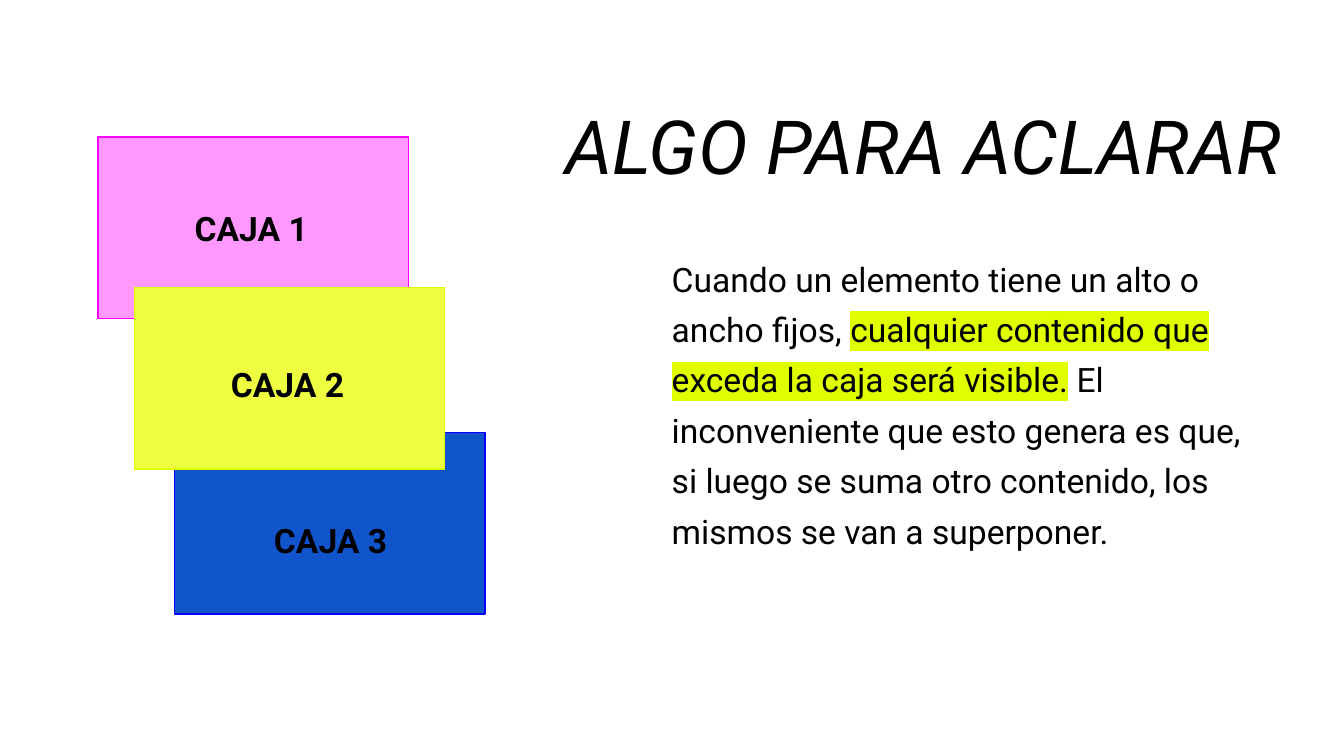
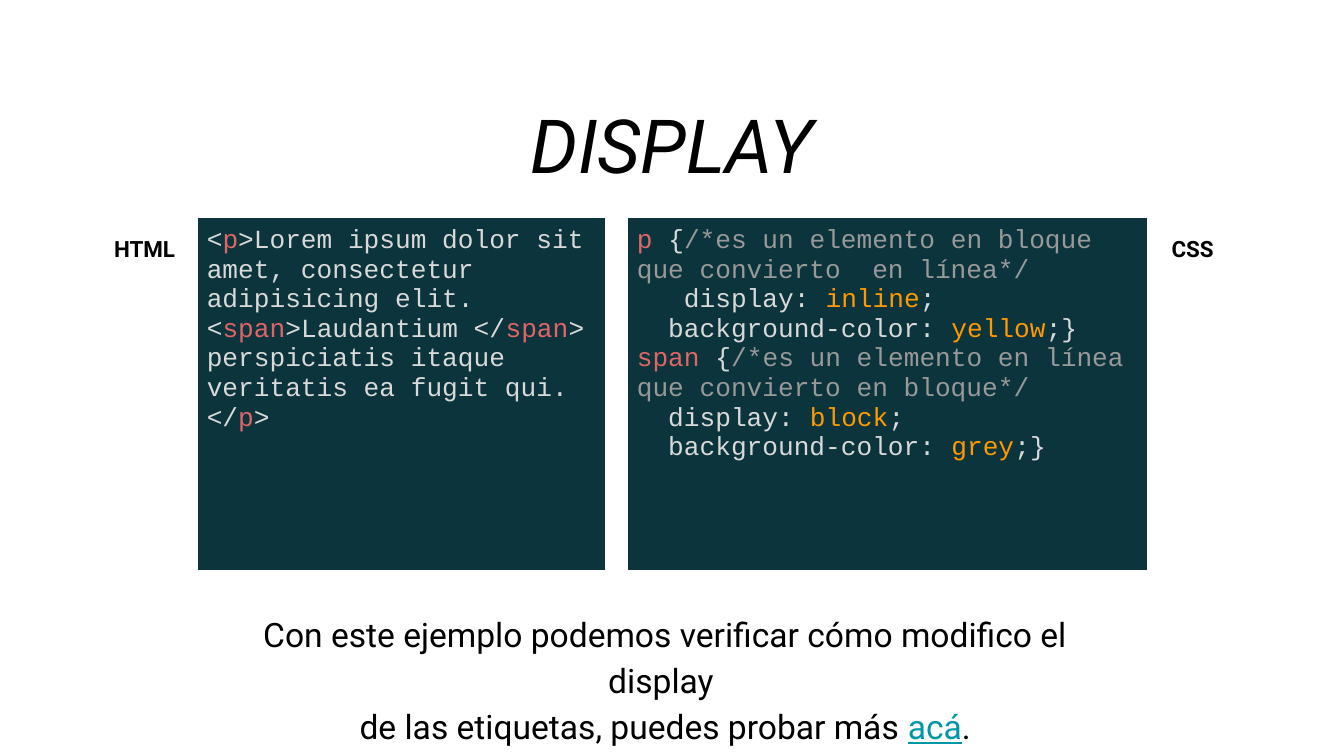
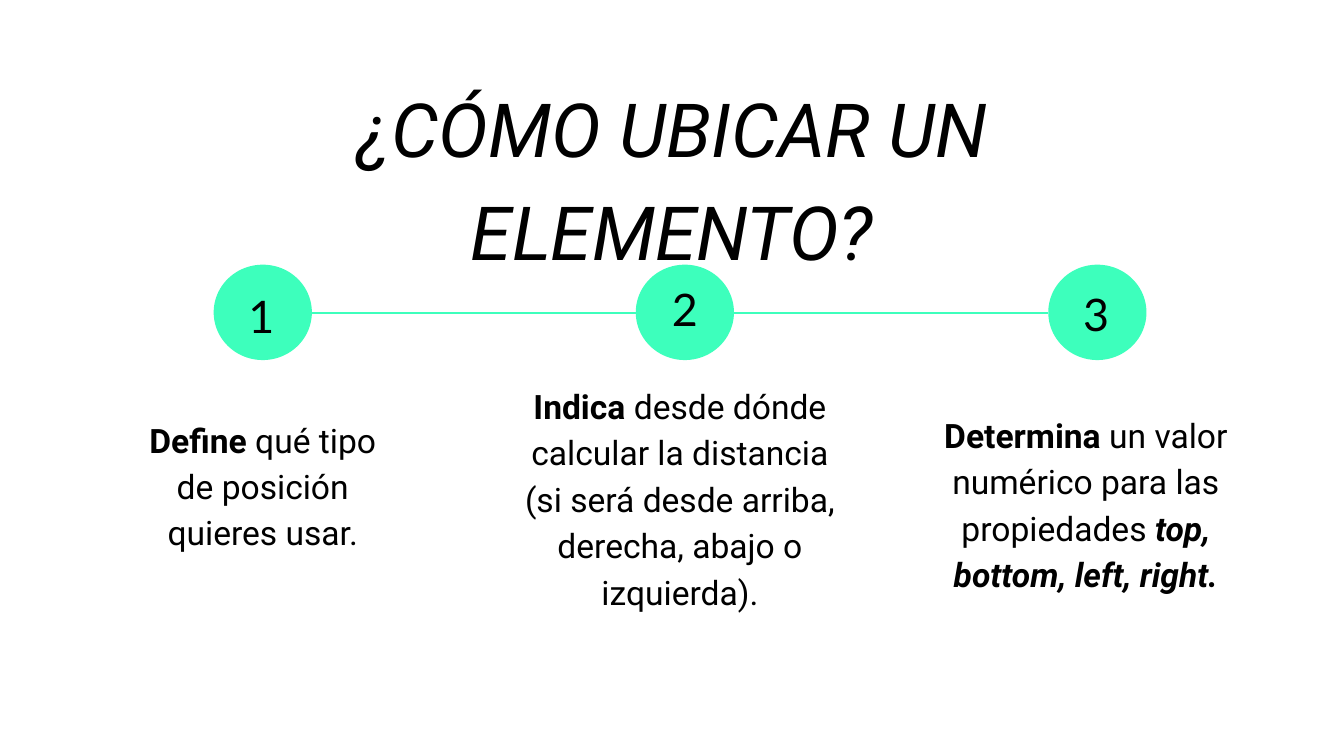
from lxml import etree
from pptx import Presentation
from pptx.dml.color import RGBColor
from pptx.enum import shapes, text
from pptx.oxml import ns
from pptx.util import Pt

BLACK, MINT, LIME = "000000", "3DFFBC", "E0FF00"
CODE_BACK, CODE_PLAIN = "0C343D", "D9D9D9"
CENTER, MIDDLE = text.PP_ALIGN.CENTER, text.MSO_ANCHOR.MIDDLE


def rgb(value):
    return RGBColor.from_string(value)


def child(parent, tag, **attributes):
    return etree.SubElement(parent, ns.qn(tag), attributes)


def bold(words, **more):
    return words, dict(bold=True, **more)


def tag(words):
    return words, dict(color="E06666")


def value(words):
    return words, dict(color="FF9900")


def remark(words):
    return words, dict(color="999999")


class Deck:
    """Holds the shared style and the slide being filled."""

    def __init__(self):
        self.show = Presentation()
        self.show.slide_width, self.show.slide_height = Pt(720), Pt(405)

    def new_slide(self):
        self.slide = self.show.slides.add_slide(self.show.slide_layouts[6])

    def fill_paragraph(self, paragraph, runs, size, font="Roboto", color=BLACK,
                       strong=None, slanted=None, spacing=None, align=None):
        style = paragraph.font
        style.name, style.size, style.bold, style.italic = font, Pt(size), strong, slanted
        style.color.rgb = rgb(color)
        paragraph.alignment, paragraph.line_spacing = align, spacing
        for item in runs:
            words, options = (item, {}) if isinstance(item, str) else item
            for number, line in enumerate(words.split("\n")):
                if number:
                    paragraph.add_line_break()
                self.add_words(paragraph, line, **options)

    def add_words(self, paragraph, words, color=None, mark=None, **flags):
        run = paragraph.add_run()
        run.text = words
        for flag, state in flags.items():
            setattr(run.font, flag, state)
        if color:
            run.font.color.rgb = rgb(color)
        if mark:
            child(child(run._r.get_or_add_rPr(), "a:highlight"), "a:srgbClr", val=mark)

    def text(self, left, top, width, height, runs, size=18, anchor=None, bottom=7.2, **style):
        frame = self.slide.shapes.add_textbox(Pt(left), Pt(top), Pt(width), Pt(height)).text_frame
        frame.word_wrap, frame.vertical_anchor = True, anchor
        frame.margin_left = frame.margin_right = frame.margin_top = Pt(7.2)
        frame.margin_bottom = Pt(bottom)
        self.fill_paragraph(frame.paragraphs[0], runs, size, **style)

    def title(self, left, top, words, spacing=1.5):
        self.text(left, top, 491, 54.7, [words], 40, slanted=True, spacing=spacing, align=CENTER)

    def shape(self, kind, left, top, width, height, fill, line=None, alpha=None):
        shape = self.slide.shapes.add_shape(kind, Pt(left), Pt(top), Pt(width), Pt(height))
        shape.shadow.inherit = False
        shape.fill.solid()
        shape.fill.fore_color.rgb = rgb(fill)
        if alpha:
            tint = shape._element.spPr.find(ns.qn("a:solidFill"))[0]
            child(tint, "a:alpha", val=str(alpha * 1000))
        if line:
            shape.line.color.rgb, shape.line.width = rgb(line), Pt(0.75)
        else:
            shape.line.fill.background()

    def line(self, start, end, y, color):
        line = self.slide.shapes.add_connector(
            shapes.MSO_CONNECTOR.STRAIGHT, Pt(start), Pt(y), Pt(end), Pt(y))
        line.line.color.rgb, line.line.width = rgb(color), Pt(0.75)
        child(line._element.spPr, "a:effectLst")

    def code(self, left, top, width, height, lines):
        table = self.slide.shapes.add_table(
            1, 1, Pt(left), Pt(top), Pt(width), Pt(height)).table
        table.first_row = table.horz_banding = False
        cell = table.cell(0, 0)
        cell.fill.solid()
        cell.fill.fore_color.rgb = rgb(CODE_BACK)
        cell.margin_left = cell.margin_right = cell.margin_top = cell.margin_bottom = Pt(5)
        frame = cell.text_frame
        for number, runs in enumerate(lines):
            paragraph = frame.add_paragraph() if number else frame.paragraphs[0]
            self.fill_paragraph(paragraph, runs, 14, font="Courier New", color=CODE_PLAIN)


def overlap_slide(deck):
    deck.new_slide()
    deck.title(249.1, 22.3, "ALGO PARA ACLARAR")
    deck.text(352.8, 126, 329, 175.7, [
        "Cuando un elemento tiene un alto o ancho fijos, ",
        ("cualquier contenido que exceda la caja será visible.", dict(mark=LIME)),
        " El inconveniente que esto genera es que, si luego se suma otro contenido, "
        "los mismos se van a superponer."], spacing=1.25)
    for left, top, fill, edge, alpha in (
            (52.5, 73.4, "FF00FF", "FF00FF", 40),
            (93.6, 231.8, "1155CC", "0000FF", None),
            (72, 154.1, "EEFF41", LIME, None)):
        deck.shape(shapes.MSO_SHAPE.RECTANGLE, left, top, 166.3, 97.2, fill, edge, alpha)
    for name, left, top in (("CAJA 1", 97.2, 98.6), ("CAJA 3", 139.7, 265.7),
                            ("CAJA 2", 116.6, 182.2)):
        deck.text(left, top, 93.6, 46.8, [name], strong=True, spacing=1.25)


def display_slide(deck):
    deck.new_slide()
    deck.title(114.5, 21.6, "DISPLAY")
    deck.code(105.8, 116.6, 218.9, 189.4, [
        ["<", tag("p"), ">Lorem ipsum dolor sit amet, consectetur adipisicing elit. <",
         tag("span"), ">Laudantium </", tag("span"),
         "> perspiciatis itaque veritatis ea fugit qui."],
        ["</", tag("p"), ">"]])
    deck.code(336.2, 116.6, 278.6, 189.4, [
        [tag("p "), "{", remark("/*es un elemento en bloque que convierto  en línea*/")],
        ["   display: ", value("inline"), ";\n  background-color: ", value("yellow"), ";}"],
        [tag("span"), " {", remark("/*es un elemento en línea que convierto en bloque*/")],
        ["  display: ", value("block"), ";\n  background-color: ", value("grey"), ";}"]])
    for language, left, width in (("HTML", 54, 56.9), ("CSS", 620.6, 40.3)):
        deck.text(left, 116.6, width, 25.9, [language], 12, strong=True, spacing=1.15)
    deck.text(105.8, 318.2, 501.1, 66.2, [
        "Con este ejemplo podemos verificar cómo modifico el display \n"
        "de las etiquetas, puedes probar más ",
        ("acá", dict(color="0097A7", underline=True)), "."], spacing=1.15, align=CENTER)


def steps_slide(deck):
    deck.new_slide()
    deck.line(167, 561.6, 167.8, MINT)
    for left in (114.5, 340.6, 561.6):
        deck.shape(shapes.MSO_SHAPE.OVAL, left, 141.8, 52.6, 51.1, MINT)
    for left, top, width, height, bottom, runs in (
            (71.3, 216.7, 139, 84.2, 7.2,
             [bold("Define "), "qué tipo de posición quieres usar."]),
            (497.5, 239, 168.5, 84.2, 32,
             [bold("Determina"), " un valor numérico para las propiedades ",
              bold("top, bottom, left, right.", italic=True)]),
            (270.7, 229.7, 187.2, 72, 7.2,
             [bold("Indica "), "desde dónde calcular la distancia "
              "(si será desde arriba, derecha, abajo o izquierda)."])):
        deck.text(left, top, width, height, runs, anchor=MIDDLE, bottom=bottom,
                  spacing=1.15, align=CENTER)
    for step, left, top, height in (("1", 126, 147.6, 31), ("2", 352.8, 144, 31),
                                    ("3", 573.1, 146.2, 25.9)):
        deck.text(left, top, 23, height, [step], 24, font="Lato")
    deck.title(114.5, 30.2, "¿CÓMO UBICAR UN ELEMENTO?", spacing=1.15)


def main():
    deck = Deck()
    overlap_slide(deck)
    display_slide(deck)
    steps_slide(deck)
    deck.show.save("out.pptx")


if __name__ == "__main__":
    main()
